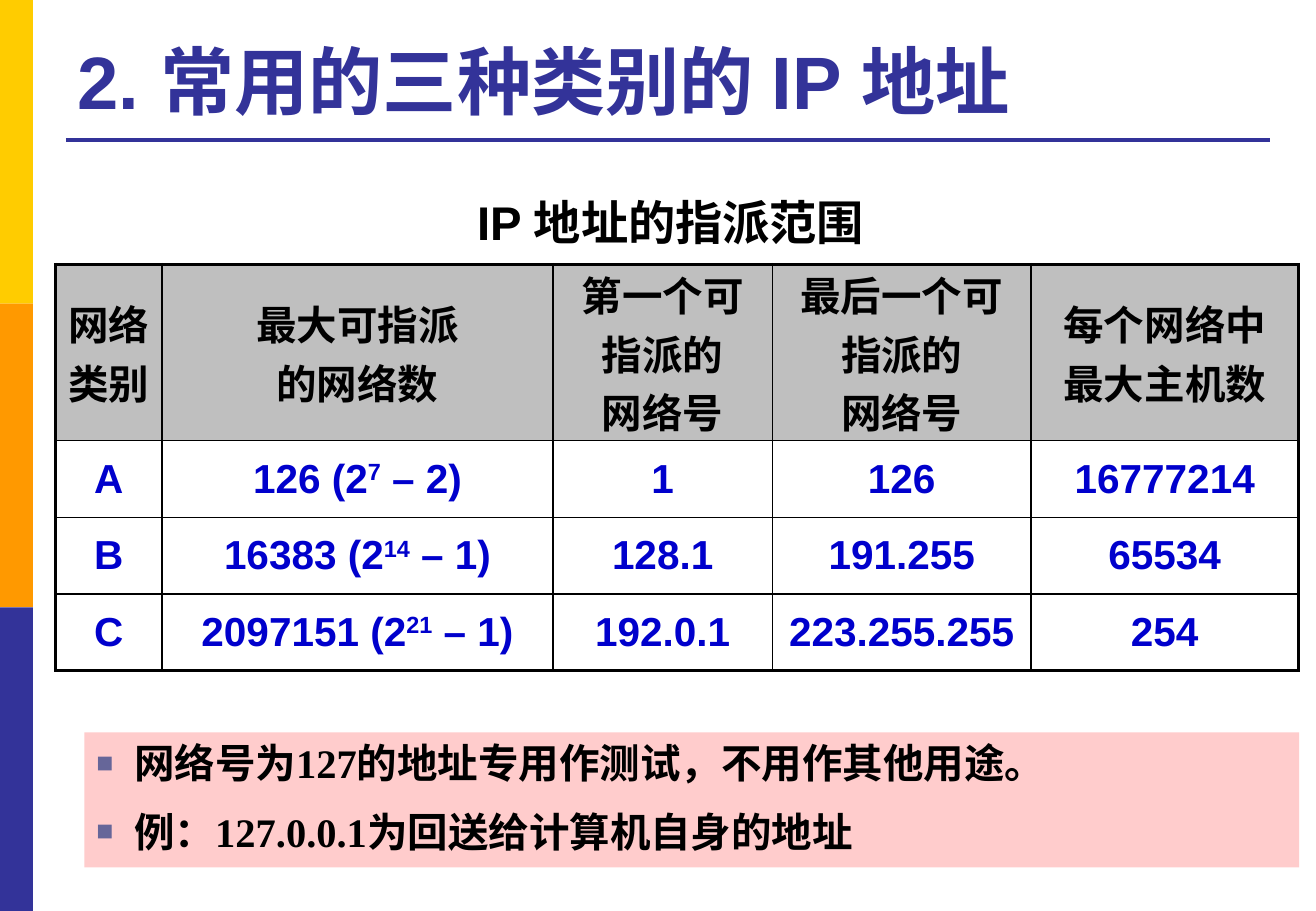
from dataclasses import dataclass

from lxml.etree import SubElement
from pptx import Presentation
from pptx.dml.color import RGBColor
from pptx.enum.shapes import MSO_CONNECTOR as Connector, MSO_SHAPE as Shape
from pptx.enum.text import MSO_ANCHOR as Anchor, PP_ALIGN as Align
from pptx.oxml.ns import qn
from pptx.util import Pt


@dataclass(frozen=True)
class Theme:
    yellow: str = "FFCC00"
    orange: str = "FF9900"
    navy: str = "333399"
    black: str = "000000"
    blue: str = "0000CC"
    gray: str = "BFBFBF"
    pink: str = "FFCCCC"
    bullet: str = "666699"
    sans: str = "Arial"
    serif: str = "Times New Roman"
    title_size: int = 44
    caption_size: int = 28
    body_size: int = 24
    thick: float = 2.25
    thin: float = 1


THEME = Theme()
SLIDE_WIDTH, SLIDE_HEIGHT = 780, 540

COLUMN_WIDTHS = [63, 231.8, 130, 153.4, 158.4]
ROW_HEIGHTS = [104.4, 45.4, 45.4, 45.4]
HEADERS = [
    ["网络", "类别"],
    ["最大可指派", "的网络数"],
    ["第一个可指派的", "网络号"],
    ["最后一个可指派的", "网络号"],
    ["每个网络中", "最大主机数"],
]
# The network count is given as text, exponent, text
NETWORK_CLASSES = [
    ["A", ("126 (2", "7", " – 2)"), "1", "126", "16777214"],
    ["B", ("16383 (2", "14", " – 1)"), "128.1", "191.255", "65534"],
    ["C", ("2097151 (2", "21", " – 1)"), "192.0.1", "223.255.255", "254"],
]
NOTES = [
    "网络号为127的地址专用作测试，不用作其他用途。",
    "例：127.0.0.1为回送给计算机自身的地址",
]


def rgb(color):
    return RGBColor.from_string(color)


def add_run(paragraph, text, size, color, font=THEME.sans, raised=False):
    run = paragraph.add_run()
    run.text = text
    run.font.name = font
    run.font.size = Pt(size)
    run.font.bold = True
    run.font.color.rgb = rgb(color)
    if raised:
        run._r.get_or_add_rPr().set("baseline", "30000")


def add_block(slide, left, top, width, height, color):
    shape = slide.shapes.add_shape(
        Shape.RECTANGLE, Pt(left), Pt(top), Pt(width), Pt(height))
    shape.shadow.inherit = False
    shape.fill.solid()
    shape.fill.fore_color.rgb = rgb(color)
    shape.line.fill.background()
    return shape


def add_rule(slide, left, right, y):
    line = slide.shapes.add_connector(
        Connector.STRAIGHT, Pt(left), Pt(y), Pt(right), Pt(y))
    line.line.color.rgb = rgb(THEME.navy)
    line.line.width = Pt(THEME.thick)
    SubElement(line._element.spPr, qn("a:effectLst"))


def add_label(slide, left, top, width, height, text, size, color,
              align=Align.LEFT, anchor=Anchor.TOP):
    box = slide.shapes.add_textbox(Pt(left), Pt(top), Pt(width), Pt(height))
    frame = box.text_frame
    frame.word_wrap = True
    frame.vertical_anchor = anchor
    paragraph = frame.paragraphs[0]
    paragraph.alignment = align
    add_run(paragraph, text, size, color)


def set_border(cell, side, width):
    line = SubElement(cell._tc.get_or_add_tcPr(), qn(f"a:ln{side}"),
                      w=str(Pt(width)))
    fill = SubElement(line, qn("a:solidFill"))
    SubElement(fill, qn("a:srgbClr"), val=THEME.black)


def fill_cell(cell, lines, color):
    """Each line is a sequence of runs; every second run is raised."""
    cell.margin_left = cell.margin_right = Pt(5.1)
    cell.margin_top = cell.margin_bottom = 0
    cell.vertical_anchor = Anchor.MIDDLE
    frame = cell.text_frame
    for index, line in enumerate(lines):
        paragraph = frame.add_paragraph() if index else frame.paragraphs[0]
        paragraph.alignment = Align.CENTER
        for position, text in enumerate(line):
            add_run(paragraph, text, THEME.body_size, color,
                    raised=position % 2 == 1)


def add_address_table(slide, left, top):
    row_count, column_count = len(ROW_HEIGHTS), len(COLUMN_WIDTHS)
    table = slide.shapes.add_table(
        row_count, column_count, Pt(left), Pt(top),
        Pt(sum(COLUMN_WIDTHS)), Pt(sum(ROW_HEIGHTS))).table
    for column, width in zip(table.columns, COLUMN_WIDTHS):
        column.width = Pt(width)
    for row, height in zip(table.rows, ROW_HEIGHTS):
        row.height = Pt(height)

    for r in range(row_count):
        for c in range(column_count):
            cell = table.cell(r, c)
            # Thick lines on the outer edge, thin ones inside
            outer = {"L": c == 0, "R": c == column_count - 1,
                     "T": r == 0, "B": r == row_count - 1}
            for side, is_outer in outer.items():
                set_border(cell, side, THEME.thick if is_outer else THEME.thin)
            if r == 0:
                cell.fill.solid()
                cell.fill.fore_color.rgb = rgb(THEME.gray)
                fill_cell(cell, [[text] for text in HEADERS[c]], THEME.black)
            else:
                cell.fill.background()
                value = NETWORK_CLASSES[r - 1][c]
                runs = [value] if isinstance(value, str) else value
                fill_cell(cell, [runs], THEME.blue)


def add_bullet(paragraph, indent):
    properties = paragraph._p.get_or_add_pPr()
    properties.set("marL", str(Pt(indent)))
    properties.set("indent", str(-Pt(indent)))
    color = SubElement(properties, qn("a:buClr"))
    SubElement(color, qn("a:srgbClr"), val=THEME.bullet)
    SubElement(properties, qn("a:buSzPct"), val="70000")
    SubElement(properties, qn("a:buFont"), typeface=THEME.sans)
    SubElement(properties, qn("a:buChar"), char="■")


def add_notes_panel(slide, left, top, width, height):
    frame = add_block(slide, left, top, width, height, THEME.pink).text_frame
    frame.word_wrap = True
    frame.vertical_anchor = Anchor.TOP
    for index, text in enumerate(NOTES):
        paragraph = frame.add_paragraph() if index else frame.paragraphs[0]
        add_bullet(paragraph, 22.5)
        paragraph.alignment = Align.LEFT
        if index:
            paragraph.space_before = Pt(11.7)
        add_run(paragraph, text, THEME.body_size, THEME.black, THEME.serif)


def main():
    presentation = Presentation()
    presentation.slide_width = Pt(SLIDE_WIDTH)
    presentation.slide_height = Pt(SLIDE_HEIGHT)
    slide = presentation.slides.add_slide(presentation.slide_layouts[6])

    # Side band in three equal parts
    band = [THEME.yellow, THEME.orange, THEME.navy]
    part = SLIDE_HEIGHT / len(band)
    for index, color in enumerate(band):
        add_block(slide, 0, index * part, 19.5, part, color)

    # Title and rule
    add_rule(slide, 39, 753, 82.8)
    add_label(slide, 39, 14.5, 714, 63, "2. 常用的三种类别的 IP 地址",
              THEME.title_size, THEME.navy, anchor=Anchor.BOTTOM)

    # Table with its caption
    add_address_table(slide, 33, 156.8)
    add_label(slide, 245, 111, 305, 41, "IP 地址的指派范围",
              THEME.caption_size, THEME.black, Align.CENTER)

    # Notes
    add_notes_panel(slide, 50, 434.2, 720, 80)

    presentation.save("out.pptx")


if __name__ == "__main__":
    main()
